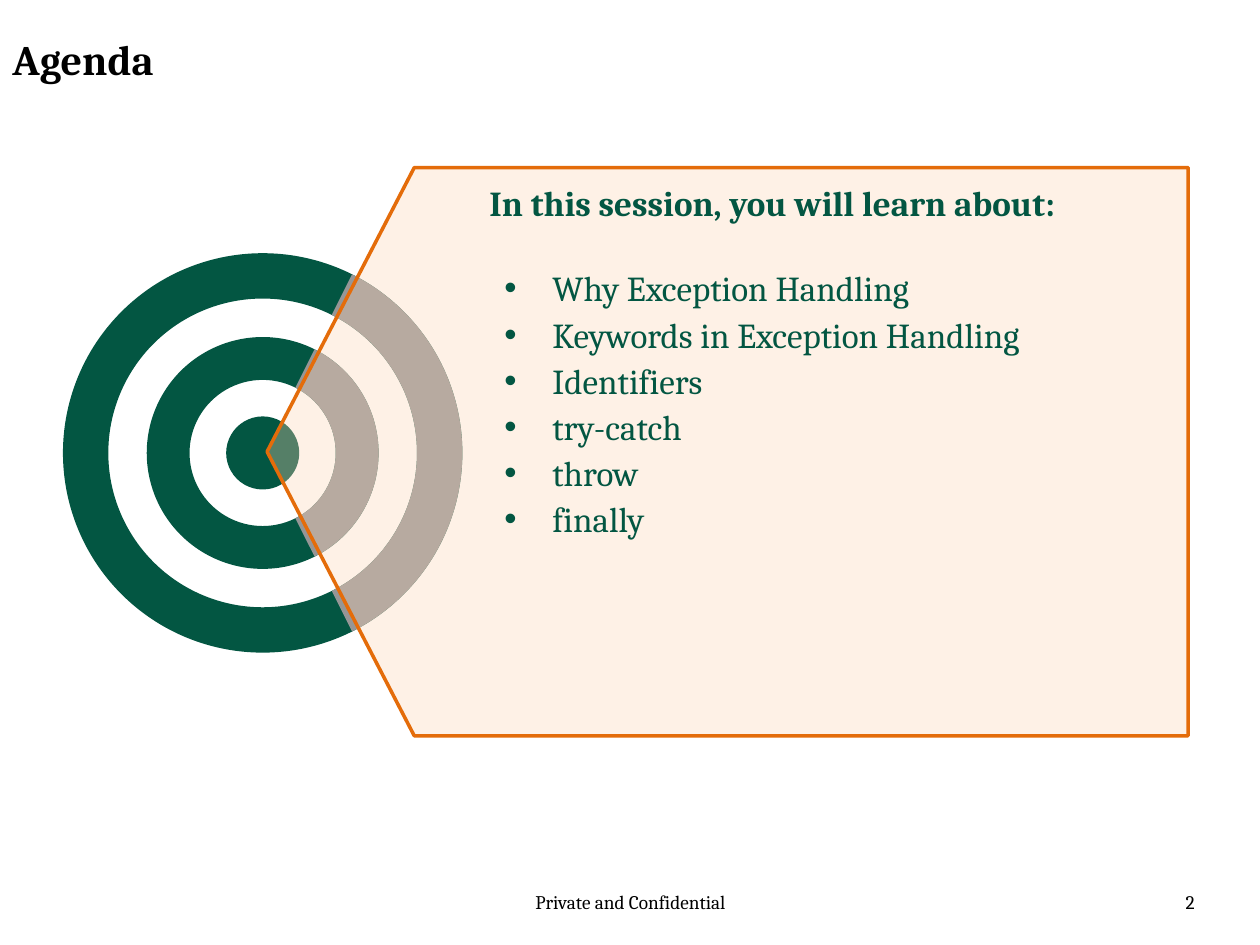
from dataclasses import dataclass

from lxml.etree import SubElement
from pptx import Presentation
from pptx.dml.color import RGBColor
from pptx.enum.shapes import MSO_SHAPE
from pptx.enum.text import MSO_ANCHOR, PP_ALIGN
from pptx.oxml.ns import qn
from pptx.util import Inches, Pt


@dataclass(frozen=True)
class Theme:
    font: str = "Cambria"
    ink: str = "000000"
    green: str = "035642"
    shade: str = "969696"
    panel: str = "FCD5B5"
    panel_opacity: int = 33
    border: str = "E46C0A"
    title_size: int = 24
    body_size: int = 20
    footer_size: int = 11


THEME = Theme()
LABELS = [
    ("Agenda", (0, 0.22, 7.59, 0.62), THEME.title_size, True, PP_ALIGN.LEFT),
    ("Private and Confidential", (3.42, 7.02, 3.17, 0.4), THEME.footer_size, False, PP_ALIGN.CENTER),
    ("2", (7.25, 7.02, 2.33, 0.4), THEME.footer_size, False, PP_ALIGN.RIGHT),
]
HEADING = "In this session, you will learn about:"
TOPICS = [
    "Why Exception Handling",
    "Keywords in Exception Handling",
    "Identifiers",
    "try-catch",
    "throw",
    "finally",
]
TARGET_CENTER = (2.085, 3.595)
BULLSEYE_DIAMETER = 0.58
RINGS = [(1.84, 0.34), (3.17, 0.36)]
SHADE_ANGLE = 63.4
PANEL_BOX = (2.12, 1.33, 7.31, 4.51)
PANEL_POINT = 0.259


def add_run(paragraph, text, size, color, bold=False):
    run = paragraph.add_run()
    run.text = text
    run.font.name = THEME.font
    run.font.size = Pt(size)
    run.font.bold = bold
    run.font.color.rgb = RGBColor.from_string(color)


def add_label(slide, text, box, size, bold, alignment):
    frame = slide.shapes.add_textbox(*map(Inches, box)).text_frame
    frame.word_wrap = True
    frame.paragraphs[0].alignment = alignment
    add_run(frame.paragraphs[0], text, size, THEME.ink, bold)


def add_filled(slide, preset, box, color, adjustments=()):
    shape = slide.shapes.add_shape(preset, *map(Inches, box))
    shape.shadow.inherit = False
    shape.fill.solid()
    shape.fill.fore_color.rgb = RGBColor.from_string(color)
    shape.line.fill.background()
    for index, value in enumerate(adjustments):
        shape.adjustments[index] = value
    return shape


def centered_box(diameter):
    return (*(center - diameter / 2 for center in TARGET_CENTER), diameter, diameter)


def add_target(slide):
    add_filled(slide, MSO_SHAPE.OVAL, centered_box(BULLSEYE_DIAMETER), THEME.green)
    arc_ends = [angle * 60000 / 100000 for angle in (360 - SHADE_ANGLE, SHADE_ANGLE)]
    for diameter, thickness in RINGS:
        box, ratio = centered_box(diameter), thickness / diameter
        add_filled(slide, MSO_SHAPE.DONUT, box, THEME.green, [ratio])
        add_filled(slide, MSO_SHAPE.BLOCK_ARC, box, THEME.shade, [*arc_ends, ratio])


def add_bullet(paragraph):
    properties = paragraph._p.get_or_add_pPr()
    properties.set("marL", str(Inches(0.5)))
    properties.set("indent", str(Inches(-0.38)))
    SubElement(properties, qn("a:buFont")).set("typeface", "Arial")
    SubElement(properties, qn("a:buChar")).set("char", "•")


def add_panel(slide):
    panel = add_filled(slide, MSO_SHAPE.PENTAGON, PANEL_BOX, THEME.panel, [PANEL_POINT])
    panel._element.spPr.xfrm.set("flipH", "1")
    fill_color = panel._element.spPr.find(qn("a:solidFill")).find(qn("a:srgbClr"))
    SubElement(fill_color, qn("a:alpha")).set("val", str(THEME.panel_opacity * 1000))
    panel.line.color.rgb = RGBColor.from_string(THEME.border)
    panel.line.width = Pt(2)

    frame = panel.text_frame
    frame.word_wrap = True
    frame.vertical_anchor = MSO_ANCHOR.TOP
    frame.margin_left, frame.margin_right = Inches(1.18), Inches(0.08)
    frame.margin_top, frame.margin_bottom = Inches(0.15), 0
    heading = frame.paragraphs[0]
    heading.alignment = PP_ALIGN.LEFT
    heading.line_spacing = 0.9
    heading.space_after = Pt(22)
    add_run(heading, HEADING, THEME.body_size, THEME.green, True)
    for topic in TOPICS:
        item = frame.add_paragraph()
        item.alignment = PP_ALIGN.LEFT
        item.line_spacing = 1.1
        add_bullet(item)
        add_run(item, topic, THEME.body_size, THEME.green)


def main():
    """Build the agenda slide with a target and a callout panel of topics."""
    deck = Presentation()
    deck.slide_width, deck.slide_height = Inches(10), Inches(7.5)
    slide = deck.slides.add_slide(deck.slide_layouts[6])
    for label in LABELS:
        add_label(slide, *label)
    add_target(slide)
    add_panel(slide)
    deck.save("out.pptx")


if __name__ == "__main__":
    main()
